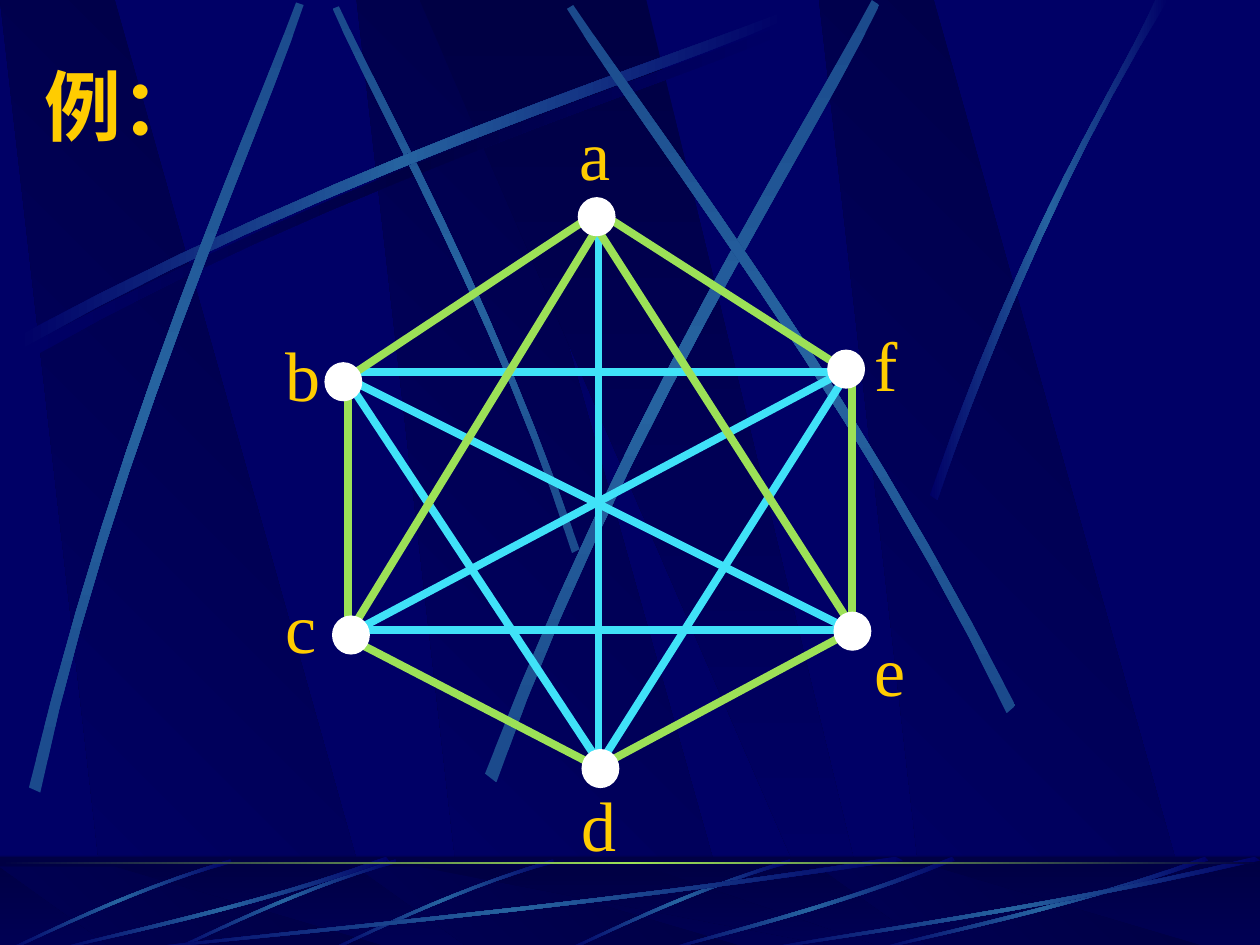
from lxml import etree
from pptx import Presentation
from pptx import util as u
from pptx.dml.color import RGBColor
from pptx.enum import shapes, text
from pptx.oxml import ns

COLORS = {"bg": "000066", "dark": "000044", "streak": "2663A0", "dim": "1B4A8C",
          "gold": "FFCC00", "cyan": "40E2F8", "green": "9CE157", "white": "FFFFFF"}

BANDS = [([(0.86, 1), (3.02, 1), (0.91, 0), (0, 0)], 135, (2.83, 0, 6.5)),
         ([(0, 0), (3.25, 1), (3.61, 1), (1.8, 0)], 90, (3.33,))]

FADE = ("bg", "streak", "bg")
SOFT = ("dim", "streak", "dim")
STREAKS = [
    (("bg", "dark", "bg"), 0, [(0.2, 2.75), (2.84, 1.34), (5.24, 0.59), (6.26, 0.18),
                               (6.29, 0.24), (5.28, 0.69), (2.54, 1.51), (0.23, 2.85)]),
    (SOFT, 90, [(4.6, 4.36), (3.91, 2.34), (3.02, 0.77), (2.69, 0.05),
                (2.64, 0.07), (2.95, 0.79), (3.98, 2.58), (4.54, 4.39)]),
    (FADE, 0, [(0.14, 2.67), (2.78, 1.25), (5.18, 0.51), (6.2, 0.1),
               (6.23, 0.16), (5.22, 0.61), (2.48, 1.43), (0.17, 2.77)]),
    (SOFT, 90, [(0.23, 6.25), (0.93, 3.34), (1.97, 1.05), (2.35, 0.02),
                (2.41, 0.04), (2.07, 1.08), (0.86, 3.68), (0.32, 6.29)]),
    (SOFT, 90, [(3.85, 6.14), (4.98, 3.2), (6.38, 1.02), (6.92, 0),
                (6.98, 0.04), (6.49, 1.08), (4.86, 3.55), (3.94, 6.21)]),
    (SOFT, 90, [(8.06, 5.6), (6.7, 2.93), (5.16, 0.95), (4.55, 0.04),
                (4.5, 0.07), (5.07, 1.01), (6.85, 3.25), (7.99, 5.66)]),
    (FADE, 0, [(7.38, 3.93), (8.14, 1.73), (8.88, 0.66), (9.17, 0),
               (9.27, 0), (8.36, 1.45), (7.69, 3.22), (7.44, 3.97)]),
]
FLOOR_RISING = [(1.79, 6.82), (0.89, 7.09), (0.29, 7.42), (0, 7.54),
                (0.03, 7.55), (0.42, 7.37), (1.2, 7), (1.8, 6.85)]
FLOOR_RISING_AT = (4.48, 2.6, 1.35, 0.04)
FLOOR_SWEEP = [(1, 6.83), (0.57, 7.23), (0.17, 7.44), (0, 7.55),
               (0, 7.54), (0.16, 7.41), (0.61, 7.18), (0.99, 6.8)]
FLOOR_SWEEP_AT = [(1, 6.17), (0.42, 2.67), (5.27, 2.31), (6.92, 2.67), (6, 4)]

EDGES = {
    "cyan": [(2.8, 5, 6.8, 5), (4.75, 1.75, 4.75, 6.08), (2.83, 5, 6.75, 2.92),
             (2.75, 3, 6.75, 5), (2.73, 2.98, 4.82, 6.15), (4.75, 6.08, 6.75, 2.92),
             (2.75, 2.95, 6.75, 2.95)],
    "green": [(2.76, 2.97, 2.76, 5.06), (4.67, 1.73, 2.8, 2.97), (6.74, 5.02, 4.82, 6.05),
              (4.75, 1.68, 6.7, 2.93), (2.76, 5.06, 4.67, 6.05), (4.71, 1.77, 6.74, 4.94),
              (4.79, 1.73, 2.8, 4.98), (6.76, 2.88, 6.76, 4.96)],
}
NODES = {"d": (4.62, 5.95), "e": (6.62, 4.86), "f": (6.57, 2.78),
         "a": (4.59, 1.57), "b": (2.58, 2.88), "c": (2.64, 4.89)}
LABELS = {"a": (4.5, 0.83, 0.44), "f": (6.84, 2.5, 0.38), "e": (6.84, 4.92, 0.44),
          "d": (4.52, 6.15, 0.48), "c": (2.17, 4.58, 0.44), "b": (2.17, 2.58, 0.48)}


def rgb(name):
    """Return the named colour."""
    return RGBColor.from_string(COLORS[name])


def write(tf, content, size=40, font="Times New Roman", color="gold", bold=False):
    """Put one formatted run in a text frame."""
    p = tf.paragraphs[0]
    p.alignment = text.PP_ALIGN.LEFT
    r = p.add_run()
    r.text = content
    r.font.size, r.font.name, r.font.bold = u.Pt(size), font, bold
    r.font.color.rgb = rgb(color)


def bezier(a, b, c, d, steps=12):
    """Return points along a cubic curve."""
    ts = [i / steps for i in range(steps + 1)]
    return [tuple((1 - t) ** 3 * a[k] + 3 * t * (1 - t) ** 2 * b[k]
                  + 3 * t * t * (1 - t) * c[k] + t ** 3 * d[k] for k in (0, 1)) for t in ts]


class Board:
    """Draws on one slide over a grid of 10 columns by 7.5 rows."""

    def __init__(self, prs):
        """Add a title-only slide with a plain background."""
        self.unit = prs.slide_width / 10
        self.s = prs.slides.add_slide(prs.slide_layouts[5])
        self.s.background.fill.solid()
        self.s.background.fill.fore_color.rgb = rgb("bg")

    def grid(self, *values):
        """Turn grid values into lengths."""
        return [u.Emu(round(v * self.unit)) for v in values]

    def gradient(self, sp, colors, angle):
        """Fill a shape with evenly spaced colour stops and no outline."""
        sp.shadow.inherit = False
        sp.line.fill.background()
        sp.fill.gradient()
        grad = sp.fill._fill._gradFill
        stops = grad.find(ns.qn("a:gsLst"))
        for stop in list(stops):
            stops.remove(stop)
        for i, name in enumerate(colors):
            stop = etree.SubElement(stops, ns.qn("a:gs"), pos=str(i * 100000 // (len(colors) - 1)))
            etree.SubElement(stop, ns.qn("a:srgbClr"), val=COLORS[name])
        grad.find(ns.qn("a:lin")).set("ang", str(angle * 60000))

    def outline(self, points, colors, angle):
        """Draw a closed gradient outline."""
        pts = [self.grid(*pt) for pt in points]
        builder = self.s.shapes.build_freeform(*pts[0], scale=1.0)
        builder.add_line_segments(pts[1:], close=True)
        self.gradient(builder.convert_to_shape(), colors, angle)

    def streak(self, points, colors=FADE, angle=0):
        """Draw a tapered streak between two curves."""
        self.outline(bezier(*points[:4]) + bezier(*points[4:]), colors, angle)

    def bands(self, top, bottom):
        """Draw the slanted bands between two rows."""
        for shape, angle, lefts in BANDS:
            for left in lefts:
                pts = [(left + x, top + y * (bottom - top)) for x, y in shape]
                self.outline(pts, ("dark", "bg"), angle)

    def shape(self, kind, *box):
        """Add a preset shape without shadow."""
        sp = self.s.shapes.add_shape(kind, *self.grid(*box))
        sp.shadow.inherit = False
        return sp

    def strip(self, top, height, colors, angle):
        """Draw a full-width gradient strip."""
        sp = self.shape(shapes.MSO_SHAPE.RECTANGLE, 0, top, 10, height)
        self.gradient(sp, colors, angle)

    def veil(self, top, height):
        """Draw a half-transparent full-width strip."""
        sp = self.shape(shapes.MSO_SHAPE.RECTANGLE, 0, top, 10, height)
        sp.line.fill.background()
        sp.fill.solid()
        sp.fill.fore_color.rgb = rgb("dark")
        color = sp._element.spPr.find(ns.qn("a:solidFill"))[0]
        etree.SubElement(color, ns.qn("a:alpha"), val="50000")

    def title(self, content, *box):
        """Place the title above the backdrop."""
        sp = self.s.shapes.title
        self.s.shapes._spTree.append(sp._element)
        sp.left, sp.top, sp.width, sp.height = self.grid(*box)
        sp.text_frame.vertical_anchor = text.MSO_ANCHOR.MIDDLE
        write(sp.text_frame, content, size=44, font="Montserrat", bold=True)

    def edge(self, color, *ends):
        """Draw a graph edge."""
        c = self.s.shapes.add_connector(shapes.MSO_CONNECTOR.STRAIGHT, *self.grid(*ends))
        c.line.color.rgb, c.line.width = rgb(color), u.Pt(4.5)
        etree.SubElement(c._element.spPr, ns.qn("a:effectLst"))

    def node(self, x, y):
        """Draw a graph node."""
        sp = self.shape(shapes.MSO_SHAPE.OVAL, x, y, 0.29, 0.3)
        sp.fill.solid()
        sp.fill.fore_color.rgb = sp.line.color.rgb = rgb("white")
        sp.line.width = u.Pt(0.75)

    def label(self, content, x, y, width):
        """Write a node's letter."""
        tf = self.s.shapes.add_textbox(*self.grid(x, y, width, 0.77)).text_frame
        tf.word_wrap = False
        write(tf, content)


def main():
    """Build and save the slide."""
    prs = Presentation()
    prs.slide_width, prs.slide_height = u.Inches(10), u.Inches(7.5)
    board = Board(prs)
    board.bands(0, 7.5)
    for colors, angle, points in STREAKS:
        board.streak(points, colors, angle)
    board.strip(6.8, 0.7, ("dark", "bg"), 90)
    board.bands(6.88, 7.5)
    board.veil(6.79, 0.71)
    for left in FLOOR_RISING_AT:
        board.streak([(left + x, y) for x, y in FLOOR_RISING])
    for left, width in FLOOR_SWEEP_AT:
        board.streak([(left + x * width, y) for x, y in FLOOR_SWEEP])
    board.strip(6.84, 0.02, ("dark", "green", "dark"), 0)
    board.title("例：", 0.25, 0.41, 8.5, 0.84)
    for color, edges in EDGES.items():
        for ends in edges:
            board.edge(color, *ends)
    for place in NODES.values():
        board.node(*place)
    for letter, place in LABELS.items():
        board.label(letter, *place)
    prs.save("out.pptx")


if __name__ == "__main__":
    main()
